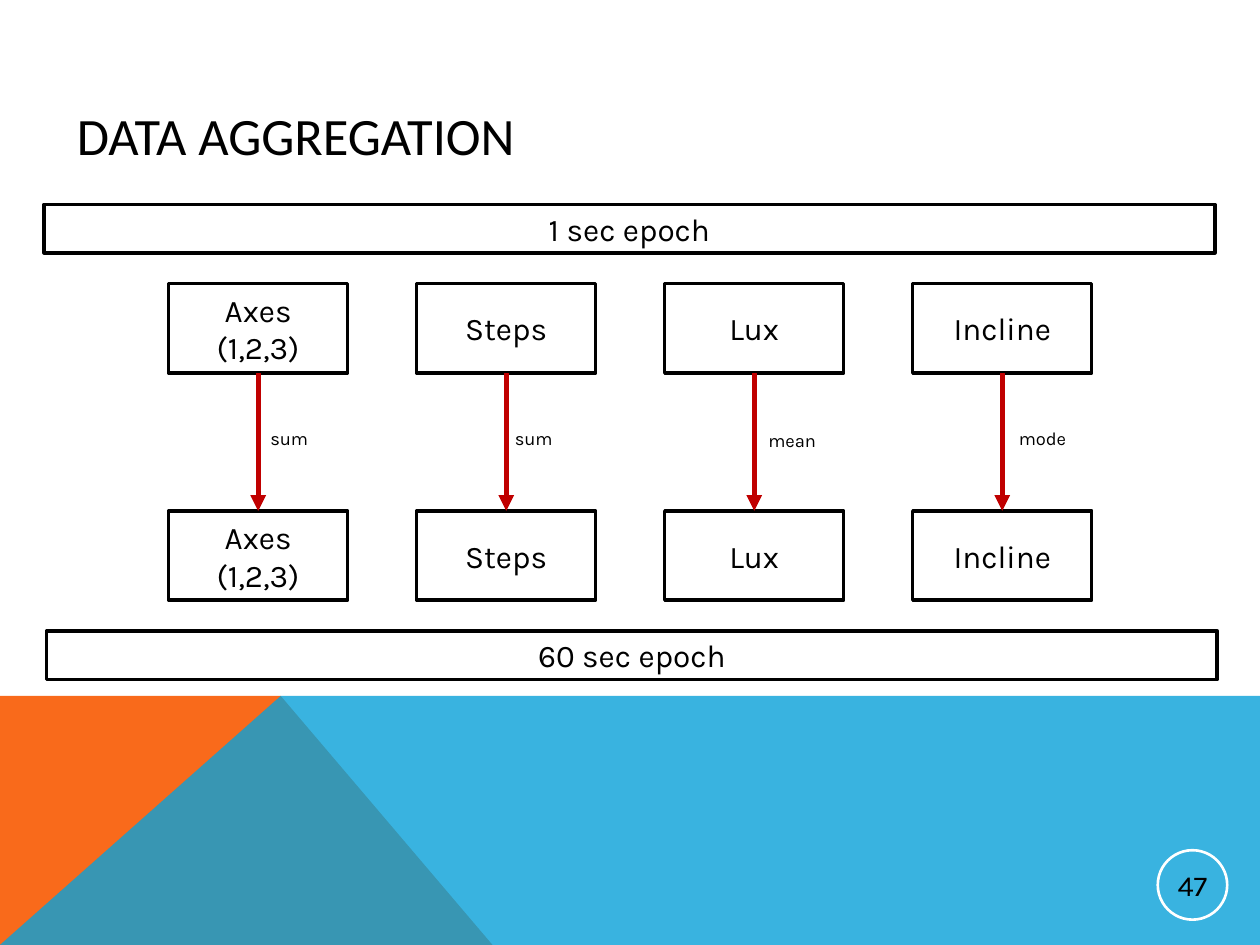
from dataclasses import dataclass

from lxml import etree
from pptx import Presentation
from pptx import util as u
from pptx.dml.color import RGBColor
from pptx.enum import shapes, text
from pptx.oxml.ns import qn


@dataclass(frozen=True)
class Theme:
    ink: str = "000000"
    paper: str = "FFFFFF"
    orange: str = "F96A1B"
    blue: str = "08A1D9"
    arrow: str = "C00000"
    heading_font: str = "Calibri"
    body_font: str = "Karla"
    title_size: float = 30
    box_size: float = 18
    number_size: float = 16.5
    label_size: float = 10.5


def rgb(value):
    return RGBColor.from_string(value)


class Painter:
    """Draws on one slide in one theme; all lengths are centimetres."""

    def __init__(self, slide, theme):
        self.s = slide
        self.theme = theme

    def add_words(self, sp, words, size, font=None, align=text.PP_ALIGN.LEFT,
                  anchor=text.MSO_ANCHOR.MIDDLE):
        tf = sp.text_frame
        tf.word_wrap = True
        tf.vertical_anchor = anchor
        p = tf.paragraphs[0]
        p.alignment = align
        r = p.add_run()
        r.text = words
        r.font.size = u.Pt(size)
        r.font.name = font or self.theme.body_font
        r.font.color.rgb = rgb(self.theme.ink)

    def panel(self, points, color, opacity=100):
        """Filled polygon without outline."""
        start, *rest = [(u.Cm(x), u.Cm(y)) for x, y in points]
        builder = self.s.shapes.build_freeform(*start)
        builder.add_line_segments(rest, close=True)
        sp = builder.convert_to_shape()
        sp.shadow.inherit = False
        sp.fill.solid()
        sp.fill.fore_color.rgb = rgb(color)
        sp.line.fill.background()
        if opacity < 100:
            clr = sp._element.spPr.find(qn("a:solidFill"))[0]
            etree.SubElement(clr, qn("a:alpha"), val=str(opacity * 1000))

    def shape(self, kind, left, top, width, height, line, weight):
        sp = self.s.shapes.add_shape(
            kind, u.Cm(left), u.Cm(top), u.Cm(width), u.Cm(height))
        sp.shadow.inherit = False
        sp.line.color.rgb = rgb(line)
        sp.line.width = u.Pt(weight)
        return sp

    def box(self, words, left, top, width, height):
        sp = self.shape(shapes.MSO_SHAPE.RECTANGLE, left, top, width, height,
                        self.theme.ink, 2)
        sp.fill.solid()
        sp.fill.fore_color.rgb = rgb(self.theme.paper)
        self.add_words(sp, words, self.theme.box_size,
                       align=text.PP_ALIGN.CENTER)

    def page_number(self, words, left, top, size):
        sp = self.shape(shapes.MSO_SHAPE.OVAL, left, top, size, size,
                        self.theme.paper, 1.5)
        sp.fill.background()
        tf = sp.text_frame
        tf.margin_left = tf.margin_right = u.Cm(0.03)
        tf.margin_top = tf.margin_bottom = u.Cm(0.03)
        self.add_words(sp, words, self.theme.number_size,
                       align=text.PP_ALIGN.CENTER)

    def textbox(self, words, left, top, width, height, size, **style):
        sp = self.s.shapes.add_textbox(
            u.Cm(left), u.Cm(top), u.Cm(width), u.Cm(height))
        self.add_words(sp, words, size, **style)

    def arrow_down(self, x, top, bottom):
        line = self.s.shapes.add_connector(
            shapes.MSO_CONNECTOR.STRAIGHT,
            u.Cm(x), u.Cm(top), u.Cm(x), u.Cm(bottom))
        line.line.color.rgb = rgb(self.theme.arrow)
        line.line.width = u.Pt(3)
        properties = line._element.spPr
        etree.SubElement(properties.find(qn("a:ln")), qn("a:tailEnd"),
                         type="triangle")
        etree.SubElement(properties, qn("a:effectLst"))


def main():
    width, height = 25.4, 19.05
    prs = Presentation()
    prs.slide_width, prs.slide_height = u.Cm(width), u.Cm(height)
    theme = Theme()
    art = Painter(prs.slides.add_slide(prs.slide_layouts[6]), theme)

    band_top, peak = 14.03, 5.66
    art.panel([(0, height), (0, band_top), (peak, band_top), (9.93, height)],
              theme.orange)
    art.panel([(0, height), (peak, band_top), (width, band_top),
               (width, height)], theme.blue, opacity=80)
    art.page_number("47", 23.34, 17.14, 1.4)
    art.textbox("DATA AGGREGATION", 1.3, 1.12, 22.86, 3.18, theme.title_size,
                font=theme.heading_font)

    art.box("1 sec epoch", 0.89, 4.12, 23.6, 0.98)
    art.box("60 sec epoch", 0.94, 12.72, 23.6, 0.98)

    first_left, pitch, box_w, box_h = 3.4, 5, 3.61, 1.8
    upper, lower = 5.72, 10.3
    # measure, how it is aggregated, left and top of the label
    columns = [
        ("Axes (1,2,3)", "sum", 5.2, 8.48),
        ("Steps", "sum", 10.13, 8.48),
        ("Lux", "mean", 15.24, 8.53),
        ("Incline", "mode", 20.29, 8.48),
    ]
    for i, (measure, method, label_left, label_top) in enumerate(columns):
        left = first_left + i * pitch
        for top in (upper, lower):
            art.box(measure, left, top, box_w, box_h)
        art.arrow_down(left + box_w / 2, upper + box_h, lower)
        art.textbox(method, label_left, label_top, 1.78, 0.71,
                    theme.label_size, anchor=text.MSO_ANCHOR.TOP)

    prs.save("out.pptx")


if __name__ == "__main__":
    main()
